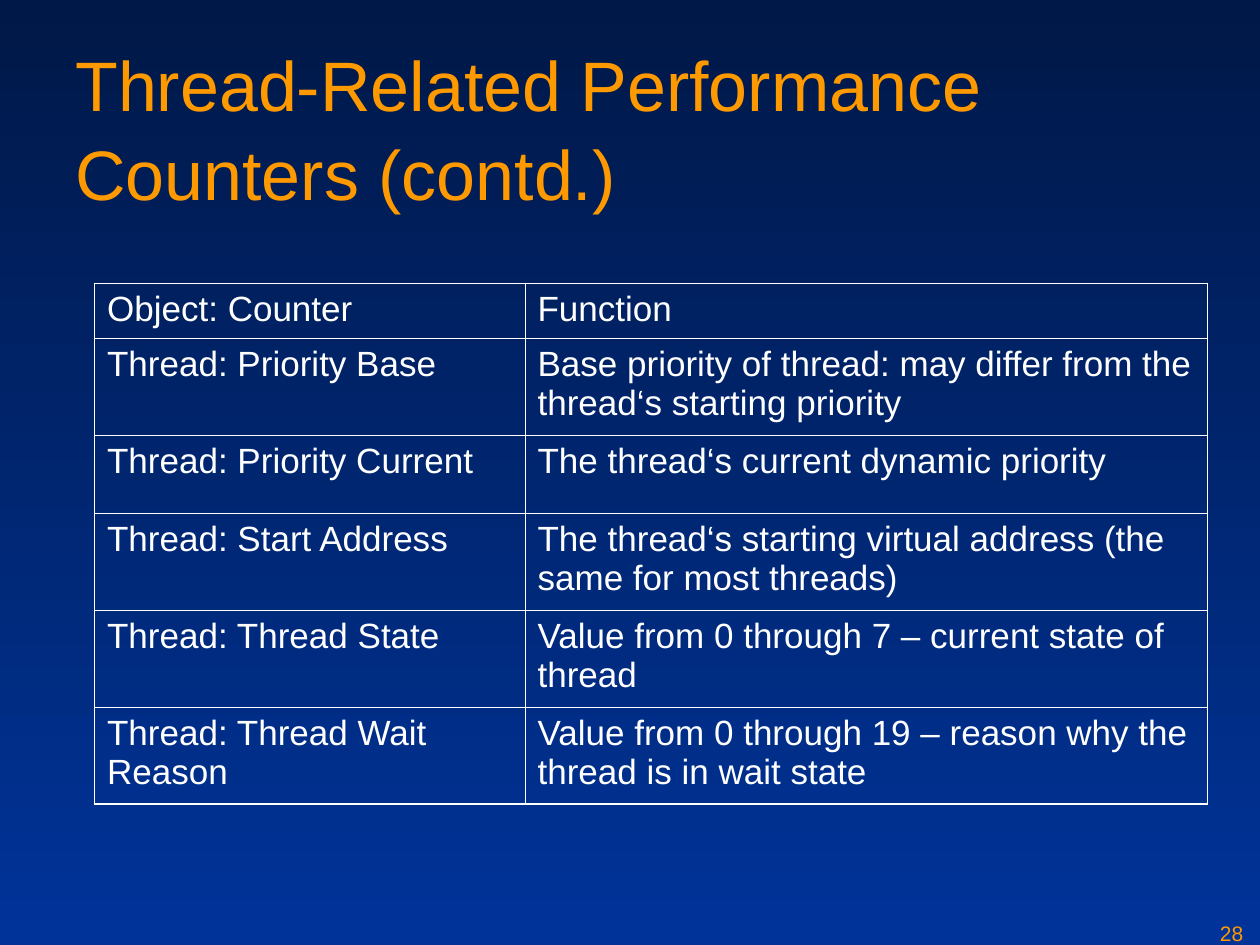
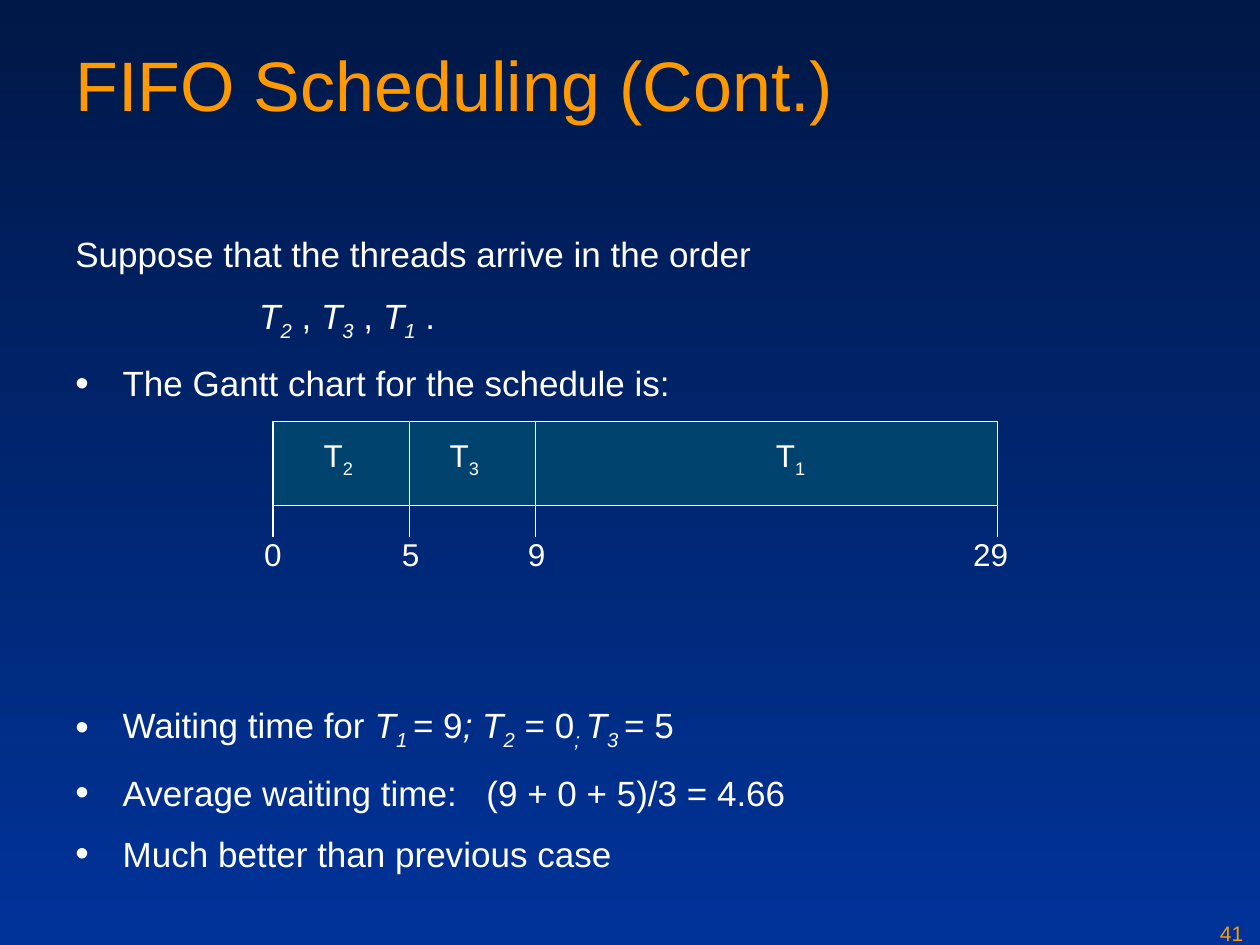
"""Build two slides on thread counters and FIFO scheduling."""
from lxml.etree import SubElement
from pptx import Presentation
from pptx.dml.color import RGBColor as RGB
from pptx.enum.shapes import MSO_CONNECTOR as LINE, MSO_SHAPE as SHAPE
from pptx.enum.text import MSO_ANCHOR as ANCHOR, PP_ALIGN as ALIGN
from pptx.oxml import parse_xml
from pptx.oxml.ns import nsdecls, qn
from pptx.util import Pt

COLORS = {"top": "001847", "bottom": "003399", "accent": "FE9900",
          "text": "FFFFFF", "bar": "00436E"}
FONT = "Arial"
ITALIC, SUB, WIDE = "italic", "sub", "wide"


def write(paragraph, parts, size, color="text"):
    """Fill a paragraph with (text, styles) runs."""
    paragraph.font.name, paragraph.font.size = FONT, Pt(size)
    paragraph.font.color.rgb = RGB.from_string(COLORS[color])
    for text, *styles in parts:
        run = paragraph.add_run()
        run.text = text
        if ITALIC in styles:
            run.font.italic = True
        if SUB in styles:
            run._r.get_or_add_rPr().set("baseline", "-25000")
        if WIDE in styles:
            run._r.get_or_add_rPr().set("spc", "1112")


def text_frame(slide, left, top, width, height, wrap=True):
    """Add a text box and return its frame."""
    frame = slide.shapes.add_textbox(Pt(left), Pt(top), Pt(width), Pt(height)).text_frame
    frame.word_wrap = wrap
    return frame


deck = Presentation()
deck.slide_width, deck.slide_height = Pt(720), Pt(540)

slides = []
for heading, number in [("Thread-Related Performance Counters (contd.)", "28"),
                        ("FIFO Scheduling (Cont.)", "41")]:
    slide = deck.slides.add_slide(deck.slide_layouts[6])
    backdrop = slide.background.fill
    backdrop.gradient()
    backdrop.gradient_angle = 270
    for stop, shade, position in zip(backdrop.gradient_stops, ("top", "bottom"), (0, 1)):
        stop.color.rgb = RGB.from_string(COLORS[shade])
        stop.position = position
    page = text_frame(slide, 690, 522.5, 30, 18, wrap=False)
    write(page.paragraphs[0], [(number,)], 12, "accent")
    title = text_frame(slide, 36, 18, 648, 90)
    title.paragraphs[0].line_spacing = 1.05
    write(title.paragraphs[0], [(heading,)], 40, "accent")
    slides.append(slide)
counter_slide, fifo_slide = slides

counters = [
    ("Object: Counter", "Function"),
    ("Thread: Priority Base",
     "Base priority of thread: may differ from the thread‘s starting priority"),
    ("Thread: Priority Current", "The thread‘s current dynamic priority"),
    ("Thread: Start Address",
     "The thread‘s starting virtual address (the same for most threads)"),
    ("Thread: Thread State", "Value from 0 through 7 – current state of thread"),
    ("Thread: Thread Wait Reason",
     "Value from 0 through 19 – reason why the thread is in wait state"),
]
row_heights = [31.4, 55.4, 44.6, 55.4, 55.4, 55.4]
table = counter_slide.shapes.add_table(
    len(counters), 2, Pt(54), Pt(162), Pt(636), Pt(sum(row_heights))).table
table.first_row = table.horz_banding = False
for column, width in zip(table.columns, (246, 390)):
    column.width = Pt(width)
last_row = len(counters) - 1
for r, (entry, height) in enumerate(zip(counters, row_heights)):
    table.rows[r].height = Pt(height)
    for c, text in enumerate(entry):
        cell = table.cell(r, c)
        cell.fill.background()
        cell.margin_left = cell.margin_right = Pt(7.2)
        cell.margin_top = cell.margin_bottom = Pt(3.6)
        paragraph = cell.text_frame.paragraphs[0]
        paragraph.line_spacing = Pt(22.3)
        write(paragraph, [(text,)], 20)
        outer_edges = {"lnL": c == 0, "lnR": c == 1, "lnT": r == 0, "lnB": r == last_row}
        for place, (edge, outer) in enumerate(outer_edges.items()):
            weight = Pt(1.08 if outer else 0.45)
            cell._tc.get_or_add_tcPr().insert(place, parse_xml(
                f'<a:{edge} {nsdecls("a")} w="{weight}"><a:solidFill>'
                f'<a:srgbClr val="{COLORS["text"]}"/></a:solidFill></a:{edge}>'))

body_lines = [
    (0, False, 5, [("Suppose that the threads arrive in the order",)]),
    (105, False, 5, [("T", ITALIC), ("2", ITALIC, SUB), (" , ",), ("T", ITALIC),
                     ("3", ITALIC, SUB), (" , ",), ("T", ITALIC),
                     ("1", ITALIC, SUB), (" .",)]),
    (27, True, 5, [("The Gantt chart for the schedule is:",)]),
    (27, True, 165, [("Waiting time for ",), ("T", ITALIC), ("1 ", ITALIC, SUB),
                     ("= 9",), ("; T", ITALIC), ("2", ITALIC, SUB), (" = 0",),
                     ("; ", ITALIC, SUB), ("T", ITALIC), ("3 ", ITALIC, SUB), ("= 5",)]),
    (27, True, 5, [("Average waiting time:",), (" ", WIDE), ("(9 + 0 + 5)/3 = 4.66",)]),
    (27, True, 5, [("Much better than previous case",)]),
]
body = text_frame(fifo_slide, 36, 128.2, 648, 362)
for i, (indent, bulleted, before, parts) in enumerate(body_lines):
    paragraph = body.add_paragraph() if i else body.paragraphs[0]
    paragraph.line_spacing = 1.05
    paragraph.space_before, paragraph.space_after = Pt(before if i else 0), Pt(5)
    properties = paragraph._p.get_or_add_pPr()
    properties.set("marL", str(Pt(indent)))
    properties.set("indent", str(Pt(-indent if bulleted else 0)))
    if bulleted:
        bullet_color = SubElement(properties, qn("a:buClr"))
        SubElement(bullet_color, qn("a:srgbClr"), val=COLORS["text"])
        SubElement(properties, qn("a:buSzPct"), val="110000")
        SubElement(properties, qn("a:buFont"), typeface=FONT)
        SubElement(properties, qn("a:buChar"), char="•")
    write(paragraph, parts, 20)

bar_top, bar_bottom, tick_bottom = 241, 289, 307
ticks = [("0", 156, 156), ("5", 234, 234.7), ("9", 306, 306.7), ("29", 570, 566)]
start, end = ticks[0][1], ticks[-1][1]
bar = fifo_slide.shapes.add_shape(
    SHAPE.RECTANGLE, Pt(start), Pt(bar_top), Pt(end - start), Pt(bar_bottom - bar_top))
bar.shadow.inherit = False
bar.fill.solid()
bar.fill.fore_color.rgb = RGB.from_string(COLORS["bar"])
bar.line.color.rgb = RGB.from_string(COLORS["text"])
bar.line.width = Pt(0.75)

for _, x, _ in ticks:
    spans = [(bar_bottom, tick_bottom)]
    if start < x < end:
        spans.append((bar_top, bar_bottom))
    for y1, y2 in spans:
        tick = fifo_slide.shapes.add_connector(LINE.STRAIGHT, Pt(x), Pt(y1), Pt(x), Pt(y2))
        tick.line.color.rgb = RGB.from_string(COLORS["text"])
        tick.line.width = Pt(0.75)
        SubElement(tick._element.spPr, qn("a:effectLst"))

labels = [([("T",), (thread, SUB)], center, 245.5, 31, 31.7)
          for thread, center in (("2", 193.3), ("3", 265.3), ("1", 451.8))]
labels += [([(time,)], center, 302, 24.5 if len(time) == 1 else 34.5, 28.8)
           for time, _, center in ticks]
for parts, center, top, width, height in labels:
    label = text_frame(fifo_slide, center - width / 2, top, width, height, wrap=False)
    label.vertical_anchor = ANCHOR.MIDDLE
    label.paragraphs[0].alignment = ALIGN.CENTER
    write(label.paragraphs[0], parts, 18)

deck.save("out.pptx")
